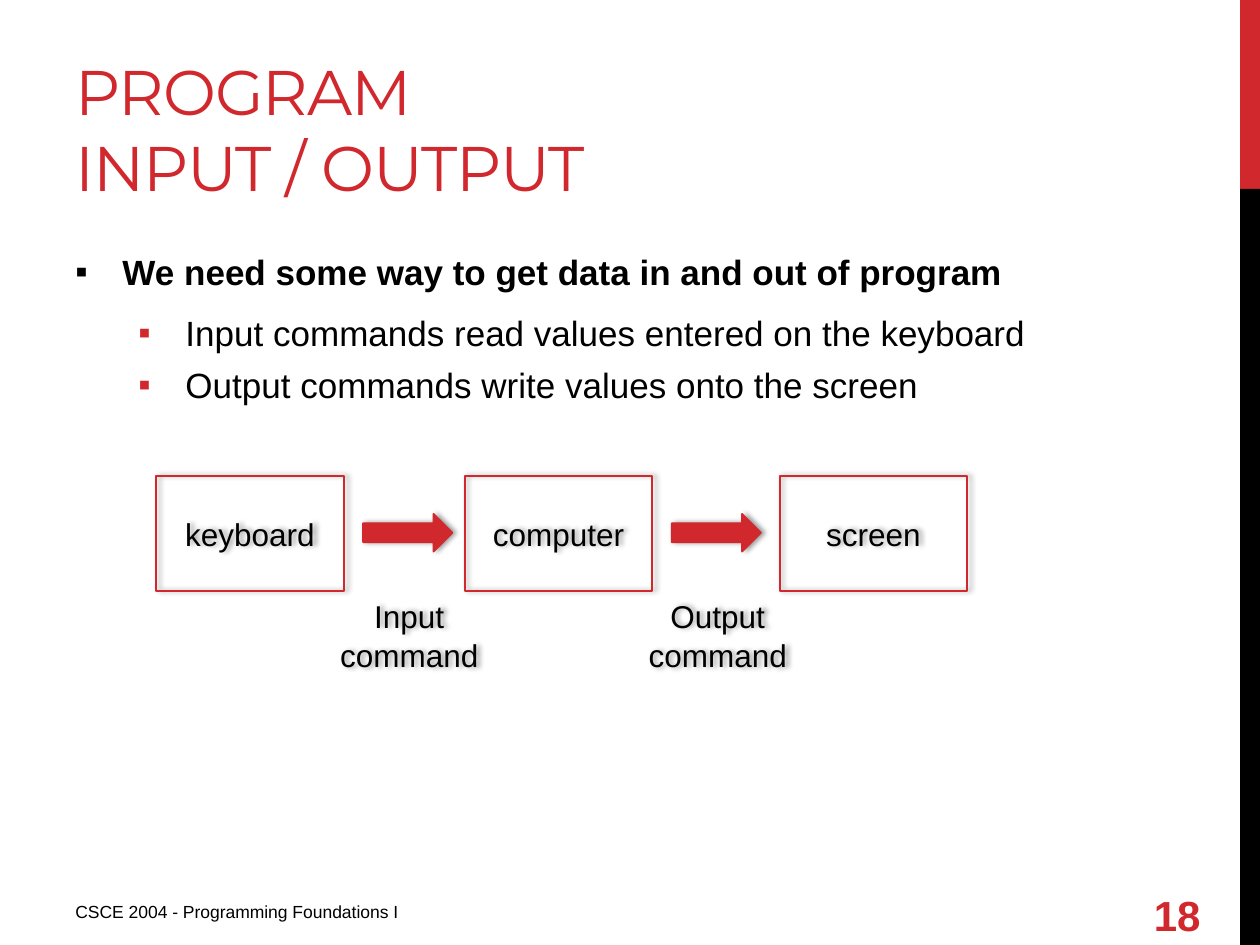
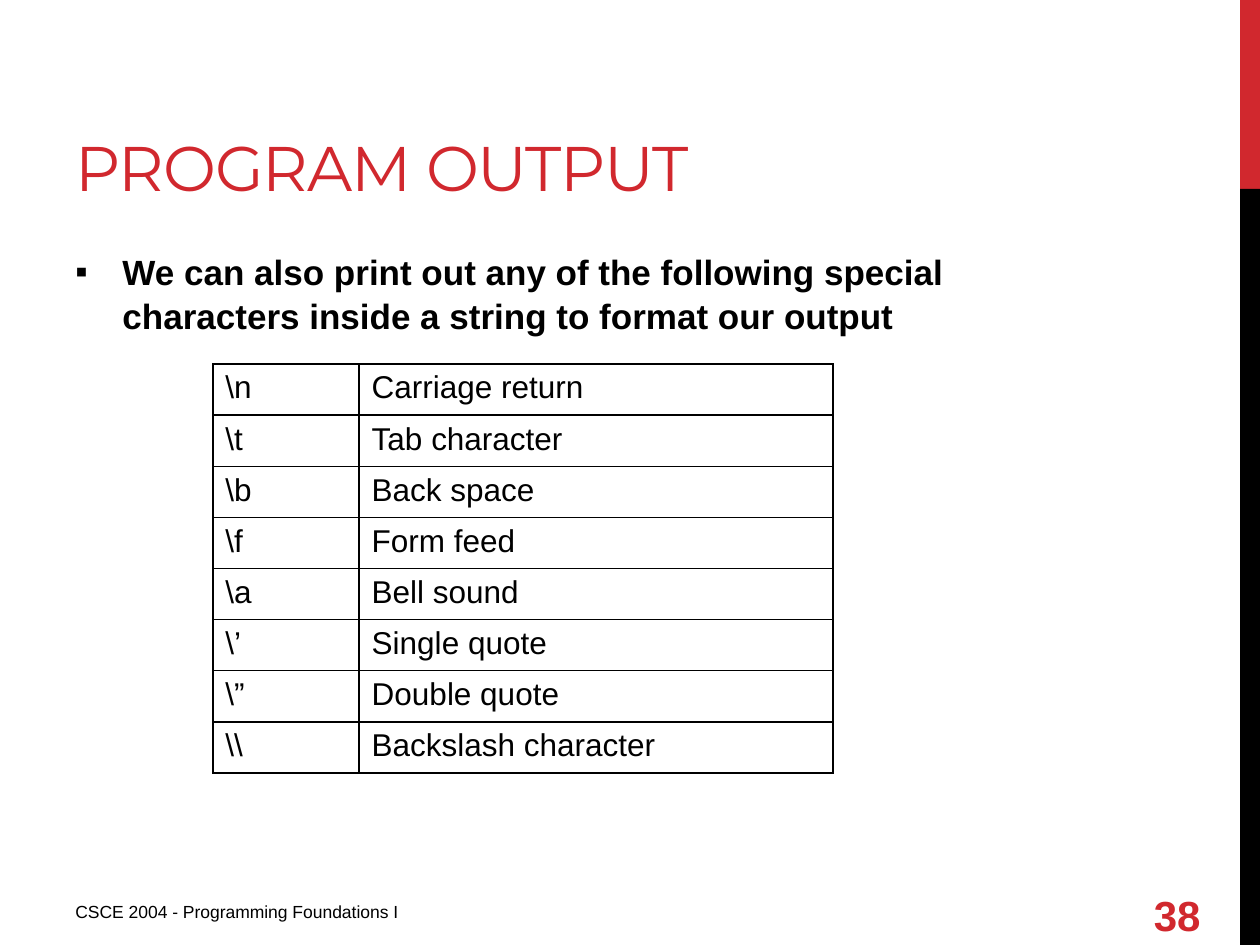
from dataclasses import dataclass

from lxml.etree import SubElement
from pptx import Presentation
from pptx.dml.color import RGBColor
from pptx.enum.shapes import MSO_SHAPE
from pptx.enum.text import MSO_ANCHOR, PP_ALIGN
from pptx.oxml.ns import qn
from pptx.util import Cm, Pt

RED = RGBColor(0xD1, 0x28, 0x2E)
BLACK = RGBColor(0, 0, 0)
BODY_FONT = "Arial"
TITLE_FONT = "Montserrat"
LINE_SPACING = 1.05
FOOTER = "CSCE 2004 - Programming Foundations I"


@dataclass(frozen=True)
class Box:
    """A frame on the slide, in centimetres."""
    left: float
    top: float
    width: float
    height: float

    def lengths(self):
        """Return left, top, width and height as lengths."""
        return Cm(self.left), Cm(self.top), Cm(self.width), Cm(self.height)


@dataclass(frozen=True)
class Style:
    """The look of a text run."""
    size: float
    color: RGBColor = BLACK
    font: str = BODY_FONT
    bold: bool = False
    spacing: int = 0


@dataclass(frozen=True)
class Bullet:
    """A bulleted paragraph; level 0 is bold, level 1 is plain."""
    text: str
    level: int = 0


TITLE_STYLE = Style(36, RED, TITLE_FONT, spacing=-60)
FOOTER_STYLE = Style(10)
NUMBER_STYLE = Style(24, RED, bold=True)
DIAGRAM_STYLE = Style(18)

TITLE_BOX = Box(1.27, 0.43, 16.08, 3.81)
BODY_BOX = Box(1.27, 4.88, 21.16, 12.14)
FOOTER_BOX = Box(1.27, 18.03, 9.53, 0.79)
NUMBER_BOX = Box(23.01, 17.93, 1.88, 1.02)
BANDS = ((Box(25, 0, 0.4, 3.81), RED), (Box(25, 3.81, 0.4, 15.24), BLACK))

DEVICES = (("keyboard", 3.15), ("computer", 9.37), ("screen", 15.72))
COMMANDS = (("Input command", 7.32), ("Output command", 13.54))
ESCAPES = (
    ("\\n", "Carriage return"),
    ("\\t", "Tab character"),
    ("\\b", "Back space"),
    ("\\f", "Form feed"),
    ("\\a", "Bell sound"),
    ("\\’", "Single quote"),
    ("\\”", "Double quote"),
    ("\\\\", "Backslash character"),
)


def add_run(paragraph, text: str, style: Style) -> None:
    """Add one styled run to a paragraph."""
    run = paragraph.add_run()
    run.text = text
    font = run.font
    font.name, font.size, font.bold = style.font, Pt(style.size), style.bold
    font.color.rgb = style.color
    if style.spacing:
        run.font._element.set("spc", str(style.spacing))


def add_text(slide, box: Box, lines: tuple, style: Style,
             anchor=MSO_ANCHOR.TOP, alignment=PP_ALIGN.LEFT):
    """Add a wrapping text box holding one paragraph of lines."""
    shape = slide.shapes.add_textbox(*box.lengths())
    frame = shape.text_frame
    frame.word_wrap = True
    frame.vertical_anchor = anchor
    paragraph = frame.paragraphs[0]
    paragraph.alignment = alignment
    for index, line in enumerate(lines):
        if index:
            paragraph.add_line_break()
        add_run(paragraph, line, style)
    return shape


def add_shape(slide, kind, box: Box, fill=None, line=None):
    """Add a preset shape with an optional fill and outline."""
    shape = slide.shapes.add_shape(kind, *box.lengths())
    shape.shadow.inherit = False
    if fill is None:
        shape.fill.background()
    else:
        shape.fill.solid()
        shape.fill.fore_color.rgb = fill
    if line is None:
        shape.line.fill.background()
    else:
        shape.line.color.rgb = line
        shape.line.width = Pt(1)
    return shape


def add_shadow(shape) -> None:
    """Give a shape a soft shadow to its right."""
    shape.shadow.inherit = False
    effects = shape.element.spPr.find(qn("a:effectLst"))
    shadow = SubElement(effects, qn("a:outerShdw"), blurRad=str(Pt(3.1)),
                        dist=str(Pt(1.8)), dir="0", rotWithShape="0")
    color = SubElement(shadow, qn("a:srgbClr"), val=str(BLACK))
    SubElement(color, qn("a:alpha"), val="40000")


def add_bullets(slide, bullets: tuple) -> None:
    """Add the body text with square bullets."""
    frame = slide.shapes.add_textbox(*BODY_BOX.lengths()).text_frame
    frame.word_wrap = True
    for index, bullet in enumerate(bullets):
        paragraph = frame.add_paragraph() if index else frame.paragraphs[0]
        top_level = bullet.level == 0
        paragraph.level = bullet.level
        paragraph.line_spacing = LINE_SPACING
        paragraph.space_before = Pt(4)
        paragraph.space_after = Pt(6 if top_level else 0)
        add_run(paragraph, bullet.text, Style(20, bold=top_level))
        properties = paragraph._p.get_or_add_pPr()
        properties.set("marL", str(Cm(0.95 + 1.27 * bullet.level)))
        properties.set("indent", str(Cm(-0.95)))
        color = SubElement(properties, qn("a:buClr"))
        SubElement(color, qn("a:srgbClr"), val=str(BLACK if top_level else RED))
        SubElement(properties, qn("a:buFont"), typeface=BODY_FONT)
        SubElement(properties, qn("a:buChar"), char="▪")


def add_page(presentation, title: tuple, number: int, bullets: tuple):
    """Add a slide with bands, title, bullets, footer and number."""
    slide = presentation.slides.add_slide(presentation.slide_layouts[6])
    for box, color in BANDS:
        add_shape(slide, MSO_SHAPE.RECTANGLE, box, fill=color)
    add_text(slide, TITLE_BOX, title, TITLE_STYLE, MSO_ANCHOR.BOTTOM)
    add_bullets(slide, bullets)
    add_text(slide, FOOTER_BOX, (FOOTER,), FOOTER_STYLE)
    add_text(slide, NUMBER_BOX, (str(number),), NUMBER_STYLE, MSO_ANCHOR.MIDDLE)
    return slide


def add_data_flow(slide) -> None:
    """Draw the devices and the commands that link them."""
    for name, left in DEVICES:
        device = add_shape(slide, MSO_SHAPE.RECTANGLE,
                           Box(left, 9.6, 3.78, 2.31), line=RED)
        add_shadow(device)
        device.text_frame.vertical_anchor = MSO_ANCHOR.MIDDLE
        paragraph = device.text_frame.paragraphs[0]
        paragraph.alignment = PP_ALIGN.CENTER
        add_run(paragraph, name, DIAGRAM_STYLE)
    for name, left in COMMANDS:
        arrow = add_shape(slide, MSO_SHAPE.RIGHT_ARROW,
                          Box(left, 10.36, 1.8, 0.76), RED, RED)
        add_shadow(arrow)
        label = add_text(slide, Box(left - 0.72, 11.94, 3.3, 1.7), (name,),
                         DIAGRAM_STYLE, MSO_ANCHOR.MIDDLE, PP_ALIGN.CENTER)
        label.text_frame.paragraphs[0].line_spacing = LINE_SPACING
        add_shadow(label)


def add_borders(cell) -> None:
    """Draw a thin black line on each side of a cell."""
    properties = cell._tc.get_or_add_tcPr()
    for side in ("lnL", "lnR", "lnT", "lnB"):
        line = SubElement(properties, qn(f"a:{side}"), w=str(Pt(1)))
        fill = SubElement(line, qn("a:solidFill"))
        SubElement(fill, qn("a:srgbClr"), val=str(BLACK))


def add_escape_table(slide) -> None:
    """Add the table of special characters."""
    widths, row_height = (2.95, 9.55), 1.03
    box = Box(4.29, 7.34, sum(widths), row_height * len(ESCAPES))
    table = slide.shapes.add_table(len(ESCAPES), len(widths),
                                   *box.lengths()).table
    table.first_row = table.horz_banding = False
    for column, width in zip(table.columns, widths):
        column.width = Cm(width)
    for row, texts in zip(table.rows, ESCAPES):
        row.height = Cm(row_height)
        for cell, text in zip(row.cells, texts):
            add_borders(cell)
            cell.fill.background()
            add_run(cell.text_frame.paragraphs[0], text, DIAGRAM_STYLE)


def main() -> None:
    """Build and save the presentation."""
    presentation = Presentation()
    presentation.slide_width, presentation.slide_height = Cm(25.4), Cm(19.05)
    add_data_flow(add_page(presentation, ("PROGRAM ", "INPUT / OUTPUT"), 18, (
        Bullet("We need some way to get data in and out of program"),
        Bullet("Input commands read values entered on the keyboard", 1),
        Bullet("Output commands write values onto the screen", 1),
    )))
    add_escape_table(add_page(presentation, ("PROGRAM OUTPUT",), 38, (
        Bullet("We can also print out any of the following special "
               "characters inside a string to format our output"),
    )))
    presentation.save("out.pptx")


main()
